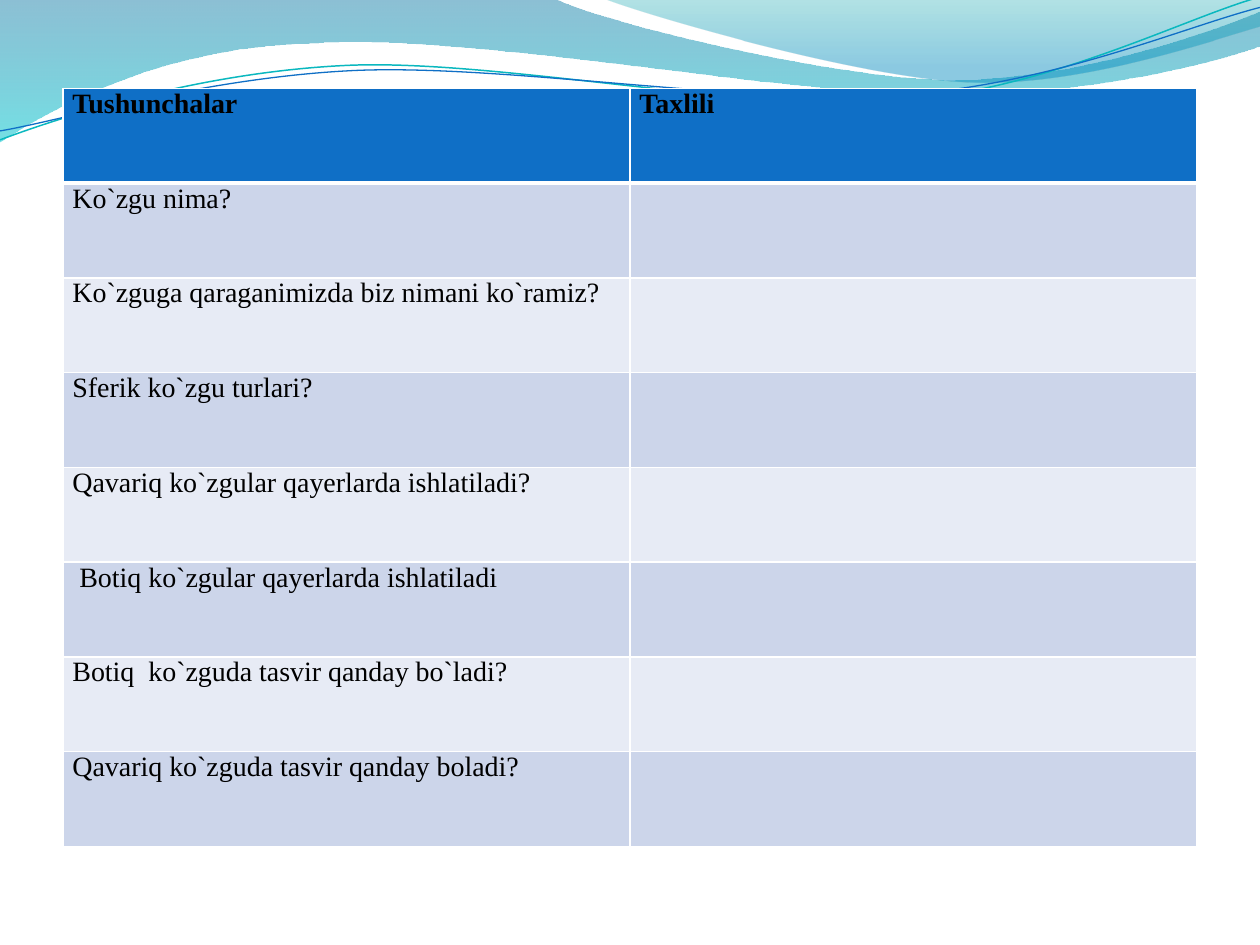
import pptx
import pptx.dml.color
import pptx.enum.text
import pptx.oxml
import pptx.oxml.ns
import pptx.util

Cm = pptx.util.Cm
Pt = pptx.util.Pt
NAMESPACE = pptx.oxml.ns.nsdecls("a")

HEADINGS = ("Tushunchalar", "Taxlili")
QUESTIONS = (
    "Ko`zgu nima?",
    "Ko`zguga qaraganimizda biz nimani ko`ramiz?",
    "Sferik ko`zgu turlari?",
    "Qavariq ko`zgular qayerlarda ishlatiladi?",
    " Botiq ko`zgular qayerlarda ishlatiladi",
    "Botiq  ko`zguda tasvir qanday bo`ladi?",
    "Qavariq ko`zguda tasvir qanday boladi?",
)

WIDE_WAVE = (
    ((0, 0),),
    ((11.18, -0.03),),
    ((12.09, 0.43), (16.87, 1.6), (19.25, 1.6)),
    ((21.67, 1.6), (24.33, 0.66), (25.4, 0.23)),
    ((25.43, 0.91),),
    ((24.97, 1.12), (22.1, 1.93), (18.95, 1.91)),
    ((15.8, 1.91), (9.7, 0.71), (6.53, 0.86)),
    ((3.28, 0.91), (1.17, 2.11), (-0.03, 2.87)),
)
RIGHT_WAVE = (
    ((12.17, -0.03),),
    ((12.93, 0.28), (17.32, 1.57), (19.53, 1.65)),
    ((21.74, 1.75), (24.41, 0.81), (25.4, 0.53)),
    ((25.4, 0),),
)
TEAL_STRAND = (
    ((-0.05, 2.22),),
    ((1.19, 1.82), (4.02, 1.04), (7.05, 1.05)),
    ((10.05, 1.07), (15.02, 2.37), (18.08, 2.29)),
    ((21.13, 2.2), (23.87, 0.91), (25.41, 0.55)),
)
BLUE_STRAND = (
    ((-0.04, 2.04),),
    ((1.16, 1.9), (4.18, 1.15), (7.2, 1.16)),
    ((10.25, 1.18), (15.13, 2.25), (18.18, 2.17)),
    ((21.21, 2.1), (23.93, 1.06), (25.45, 0.75)),
)


def color(value):
    return pptx.dml.color.RGBColor.from_string(value)


def apply(target, values):
    for name, value in values.items():
        setattr(target, name, value)


class SlideBuilder:
    """Hold the style and the current slide, and draw its elements."""

    header_fill = "0F6FC6"
    band_fills = ("CCD5EA", "E7EBF5")
    border = "FFFFFF"
    font = {"name": "Times New Roman", "size": Pt(16)}
    cell_format = {"margin_left": Cm(0.19), "margin_right": Cm(0.19),
                   "margin_top": 0, "margin_bottom": 0}

    def __init__(self, slide):
        self.slide = slide

    def outline(self, segments, close):
        anchors = [(Cm(x), Cm(y)) for x, y in (segment[-1] for segment in segments)]
        builder = self.slide.shapes.build_freeform(*anchors[0])
        builder.add_line_segments(anchors[1:], close=close)
        shape = builder.convert_to_shape()
        shape.shadow.inherit = False
        straights = list(shape._element.iter(pptx.oxml.ns.qn("a:lnTo")))
        for straight, segment in zip(straights, segments[1:]):
            if len(segment) == 3:
                points = "".join(f'<a:pt x="{Cm(x) - shape.left}" y="{Cm(y) - shape.top}"/>'
                                 for x, y in segment)
                curve = pptx.oxml.parse_xml(
                    f"<a:cubicBezTo {NAMESPACE}>{points}</a:cubicBezTo>")
                straight.getparent().replace(straight, curve)
        return shape

    def wave(self, segments, stops):
        shape = self.outline(segments, True)
        shape.line.fill.background()
        shape.fill.gradient()
        shape.fill.gradient_angle = 270
        for stop, (position, shade, opacity) in zip(shape.fill.gradient_stops, stops):
            stop.position = position
            stop.color.rgb = color(shade)
        marks = shape._element.spPr.iter(pptx.oxml.ns.qn("a:srgbClr"))
        for mark, (position, shade, opacity) in zip(marks, stops):
            mark.append(pptx.oxml.parse_xml(
                f'<a:alpha {NAMESPACE} val="{opacity * 1000}"/>'))

    def strand(self, segments, shade, width):
        shape = self.outline(segments, False)
        shape.rotation = 357.3
        shape.fill.background()
        shape.line.color.rgb = color(shade)
        shape.line.width = Pt(width)

    def cell(self, cell, text, fill, widths, bold):
        cell.fill.solid()
        cell.fill.fore_color.rgb = color(fill)
        apply(cell, self.cell_format)
        for index, (side, width) in enumerate(zip("LRTB", widths)):
            edge = pptx.oxml.parse_xml(
                f'<a:ln{side} {NAMESPACE} w="{Pt(width)}"><a:solidFill>'
                f'<a:srgbClr val="{self.border}"/></a:solidFill></a:ln{side}>')
            cell._tc.get_or_add_tcPr().insert(index, edge)
        if text:
            paragraph = cell.text_frame.paragraphs[0]
            paragraph.alignment = pptx.enum.text.PP_ALIGN.JUSTIFY
            run = paragraph.add_run()
            run.text = text
            apply(run.font, {**self.font, "bold": bold})
            run.font.color.rgb = color("000000")

    def table(self, rows, left, top, width, row_height):
        grid = self.slide.shapes.add_table(
            len(rows), len(rows[0]), left, top, width, row_height * len(rows)).table
        grid.horz_banding = False
        for row_index, texts in enumerate(rows):
            header = row_index == 0
            fill = self.header_fill if header else self.band_fills[(row_index - 1) % 2]
            widths = (1, 1, 3 if row_index == 1 else 1, 3 if header else 1)
            for column, text in enumerate(texts):
                self.cell(grid.cell(row_index, column), text, fill, widths, header)


def main():
    presentation = pptx.Presentation()
    apply(presentation, {"slide_width": Cm(25.4), "slide_height": Cm(19.05)})
    builder = SlideBuilder(presentation.slides.add_slide(presentation.slide_layouts[6]))
    builder.wave(WIDE_WAVE, ((0, "0074A1", 45), (1, "00C6CF", 55)))
    builder.wave(RIGHT_WAVE, ((0, "00A1A9", 30), (0.8, "008BBF", 45)))
    builder.strand(TEAL_STRAND, "0AB8BF", 0.85)
    builder.strand(BLUE_STRAND, "0F6FC6", 0.75)
    rows = [HEADINGS] + [(question, "") for question in QUESTIONS]
    builder.table(rows, Cm(1.27), Cm(1.78), Cm(22.86), Cm(1.91))
    presentation.save("out.pptx")


if __name__ == "__main__":
    main()
